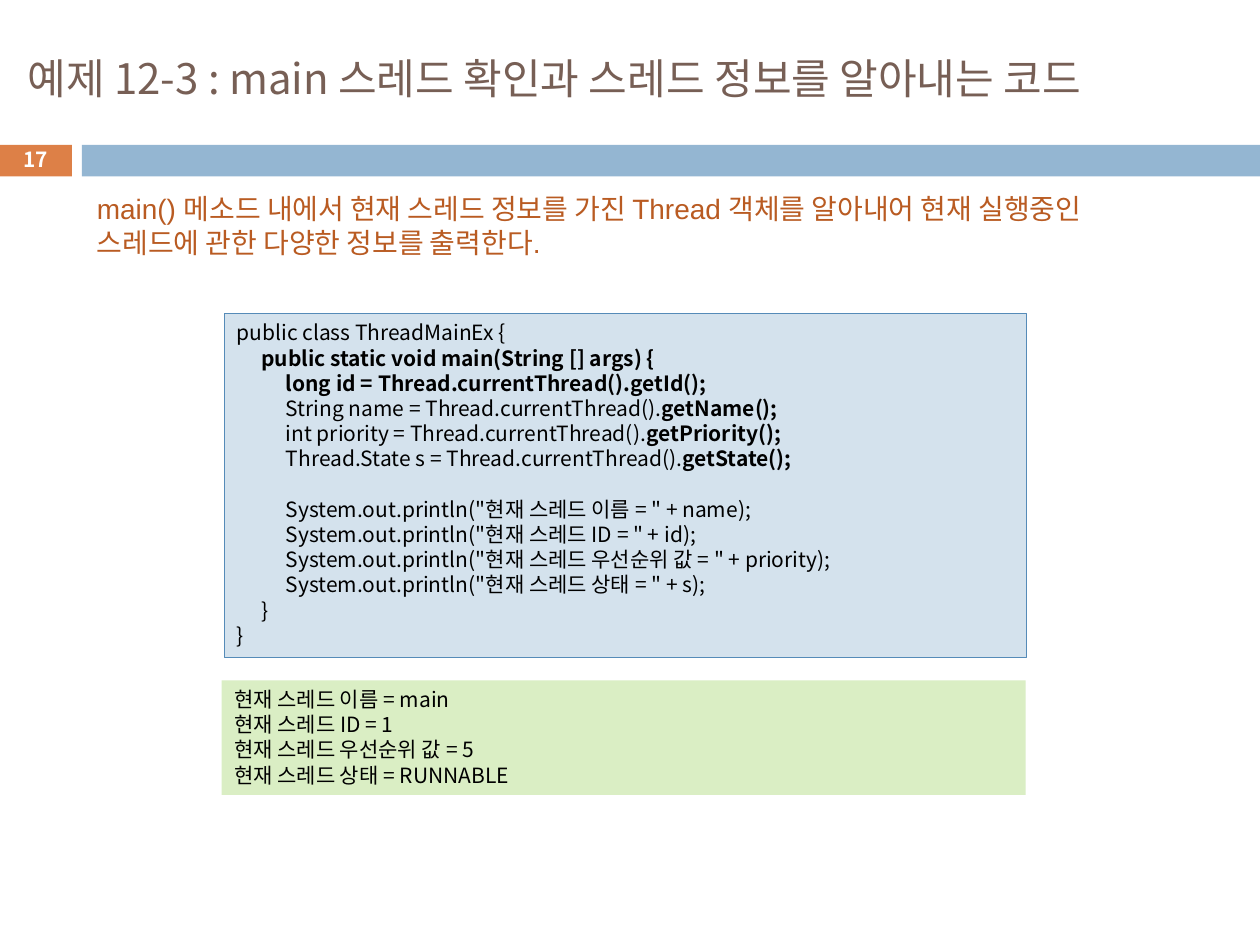
from dataclasses import dataclass

from lxml import etree
from pptx import Presentation
from pptx.dml.color import RGBColor
from pptx.enum.shapes import MSO_SHAPE
from pptx.enum.text import MSO_ANCHOR, PP_ALIGN
from pptx.oxml.ns import qn
from pptx.util import Inches, Pt

RECT = MSO_SHAPE.RECTANGLE
TOP, MIDDLE = MSO_ANCHOR.TOP, MSO_ANCHOR.MIDDLE
LEFT, CENTER = PP_ALIGN.LEFT, PP_ALIGN.CENTER
NOTO = "Noto Sans CJK KR"
TAB = 0.195


@dataclass
class Line:
    plain: str
    bold: str = ""
    gap: float = 0


@dataclass
class Style:
    size: float
    color: str = "000000"
    font: str = NOTO
    pitch: float | None = None
    align: PP_ALIGN = LEFT
    anchor: MSO_ANCHOR = TOP


@dataclass
class Box:
    left: float
    top: float
    width: float
    height: float
    fill: str | None = None
    edge: str | None = None
    style: Style | None = None
    lines: tuple[Line, ...] = ()


CODE = Style(12, pitch=14.4)
TITLE = Style(24, "775F55", anchor=MIDDLE)
NUMBER = Style(11.9, "FFFFFF", align=CENTER, anchor=MIDDLE)
INTRO = Style(16, "B95B22", "Arial", 19.4)

SOURCE = (
    Line("public class ThreadMainEx {"),
    Line("", "\tpublic static void main(String [] args) {"),
    Line("", "\t\tlong id = Thread.currentThread().getId();"),
    Line("\t\tString name = Thread.currentThread().", "getName();"),
    Line("\t\tint priority = Thread.currentThread().", "getPriority();"),
    Line("\t\tThread.State s = Thread.currentThread().", "getState();"),
    Line('\t\tSystem.out.println("현재 스레드 이름 = " + name);', gap=14.4),
    Line('\t\tSystem.out.println("현재 스레드 ID = " + id);'),
    Line('\t\tSystem.out.println("현재 스레드 우선순위 값 = " + priority);'),
    Line('\t\tSystem.out.println("현재 스레드 상태 = " + s);'),
    Line("\t}"),
    Line("}"),
)
OUTPUT = (
    Line("현재 스레드 이름 = main"),
    Line("현재 스레드 ID = 1"),
    Line("현재 스레드 우선순위 값 = 5"),
    Line("현재 스레드 상태 = RUNNABLE"),
)
HEAD = Line("예제 12-3 : main 스레드 확인과 스레드 정보를 알아내는 코드")
ABOUT = Line(
    "main() 메소드 내에서 현재 스레드 정보를 가진 Thread 객체를 알아내어 현재 "
    "실행중인 스레드에 관한 다양한 정보를 출력한다."
)

BOXES = (
    Box(-0.01, 1.15, 0.58, 0.25, "DD8047"),
    Box(0.65, 1.15, 9.35, 0.25, "94B6D2"),
    Box(0.12, 0.25, 9.47, 0.74, style=TITLE, lines=(HEAD,)),
    Box(-0.01, 1.13, 0.58, 0.27, style=NUMBER, lines=(Line("", "17"),)),
    Box(1.78, 2.49, 6.37, 2.73, "D4E2ED", "558BB8", CODE, SOURCE),
    Box(1.76, 5.4, 6.38, 0.91, "DAEEC4", style=CODE, lines=OUTPUT),
    Box(0.67, 1.47, 8.19, 0.64, style=INTRO, lines=(ABOUT,)),
)


def tint(code: str) -> RGBColor:
    """Turn a hex string into a colour."""
    return RGBColor.from_string(code)


def add_run(para, text: str, bold: bool, style: Style) -> None:
    """Add one run in the given style."""
    run = para.add_run()
    run.text = text
    font = run.font
    font.name, font.size, font.bold = style.font, Pt(style.size), bold
    font.color.rgb = tint(style.color)
    east = etree.SubElement(run.font._element, qn("a:ea"))
    east.set("typeface", NOTO)


def add_tabs(para) -> None:
    """Set two even tab stops for code indents."""
    stops = etree.SubElement(para._p.get_or_add_pPr(), qn("a:tabLst"))
    for level in (1, 2):
        stop = etree.SubElement(stops, qn("a:tab"))
        stop.set("pos", str(Inches(TAB * level)))
        stop.set("algn", "l")


def write(frame, lines: tuple[Line, ...], style: Style) -> None:
    """Fill a text frame line by line."""
    frame.word_wrap = True
    frame.vertical_anchor = style.anchor
    for index, line in enumerate(lines):
        para = frame.add_paragraph() if index else frame.paragraphs[0]
        para.alignment = style.align
        para.space_before = Pt(line.gap)
        if style.pitch:
            para.line_spacing = Pt(style.pitch)
        if "\t" in line.plain + line.bold:
            add_tabs(para)
        for text, bold in ((line.plain, False), (line.bold, True)):
            if text:
                add_run(para, text, bold, style)


def draw(slide, box: Box) -> None:
    """Draw one box with its text."""
    area = [Inches(n) for n in (box.left, box.top, box.width, box.height)]
    if box.fill:
        shape = slide.shapes.add_shape(RECT, *area)
        shape.shadow.inherit = False
        shape.fill.solid()
        shape.fill.fore_color.rgb = tint(box.fill)
        if box.edge:
            shape.line.color.rgb = tint(box.edge)
            shape.line.width = Pt(0.75)
        else:
            shape.line.fill.background()
    else:
        shape = slide.shapes.add_textbox(*area)
    if box.style:
        write(shape.text_frame, box.lines, box.style)


def main() -> None:
    """Build and save the slide."""
    deck = Presentation()
    deck.slide_width, deck.slide_height = Inches(10), Inches(7.5)
    slide = deck.slides.add_slide(deck.slide_layouts[6])
    for box in BOXES:
        draw(slide, box)
    deck.save("out.pptx")


if __name__ == "__main__":
    main()
